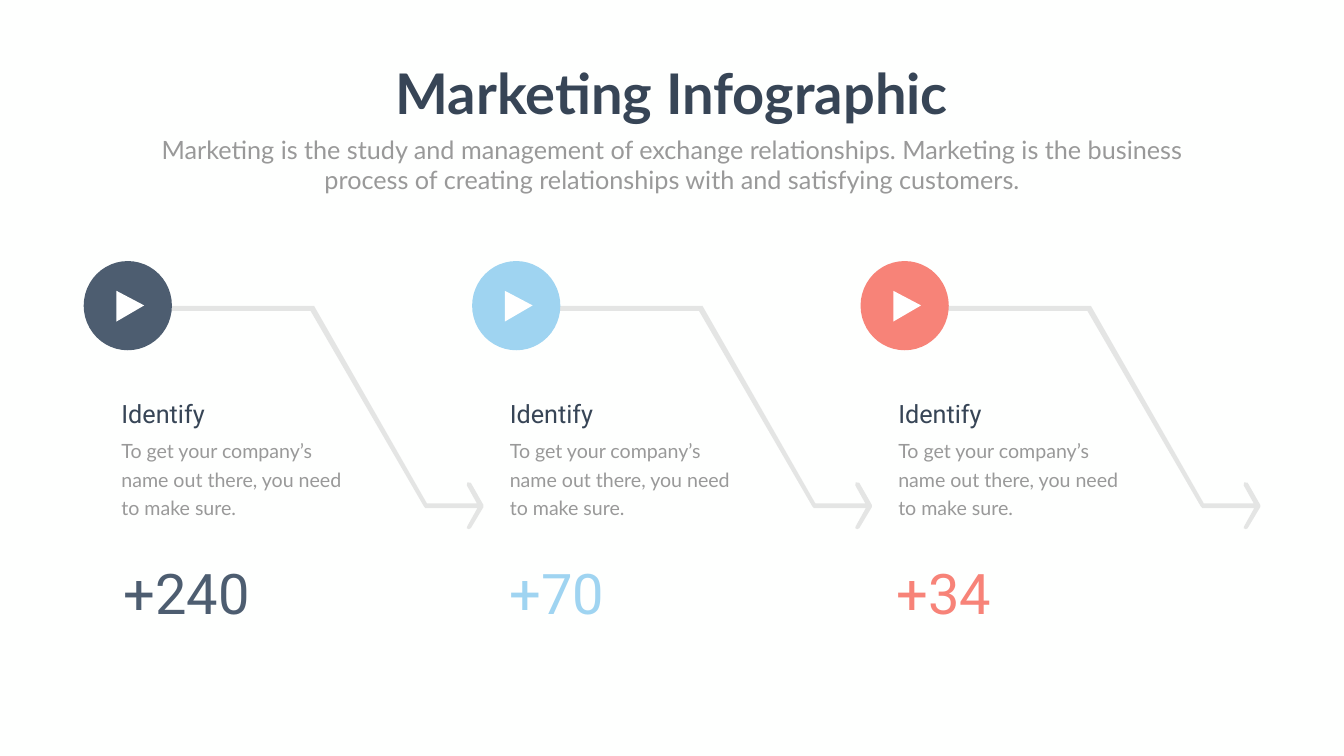
from dataclasses import dataclass

from lxml import etree
from pptx import Presentation
from pptx.dml.color import RGBColor
from pptx.enum.shapes import MSO_SHAPE
from pptx.enum.text import MSO_AUTO_SIZE, PP_ALIGN
from pptx.oxml.ns import qn
from pptx.shapes.autoshape import Shape
from pptx.slide import Slide
from pptx.util import Inches, Pt

OVAL = MSO_SHAPE.OVAL
GROW = MSO_AUTO_SIZE.SHAPE_TO_FIT_TEXT
LEFT = PP_ALIGN.LEFT
CENTER = PP_ALIGN.CENTER

PAPER = RGBColor(0xFE, 0xFF, 0xFE)
WHITE = RGBColor(0xFF, 0xFF, 0xFF)
INK = RGBColor(0x37, 0x45, 0x56)
GRAY = RGBColor(0x99, 0x99, 0x99)
ARROW_GRAY = RGBColor(0x80, 0x80, 0x80)
SLATE = RGBColor(0x4D, 0x5D, 0x70)
SKY = RGBColor(0x9F, 0xD4, 0xF1)
CORAL = RGBColor(0xF7, 0x83, 0x78)

FIRST_LEFT = 1.66
STEP_PITCH = 15.41 / 2
ARROW_OPACITY = 20

ARROW_POINTS = [
    (0.84, 6.07), (4.57, 6.07), (6.81, 9.99), (7.8, 9.99), (7.6, 9.63),
    (7.61, 9.57), (7.68, 9.58), (7.93, 10.02), (7.93, 10.06), (7.68, 10.48),
    (7.64, 10.5), (7.6, 10.48), (7.61, 10.44), (7.81, 10.08), (6.78, 10.08),
    (6.75, 10.05), (4.5, 6.17), (0.93, 6.17),
]
PLAY_POINTS = [(0.65, 5.77), (1.2, 6.06), (0.65, 6.38)]


@dataclass
class Step:
    title: str
    description: str
    number: str
    number_left: float
    color: RGBColor


@dataclass
class TextStyle:
    font: str
    size: int
    color: RGBColor
    bold: bool = False
    align: PP_ALIGN = LEFT
    wrap: bool = True
    line_height: float | None = None


DESCRIPTION = "To get your company’s name out there, you need to make sure."
STEPS = [
    Step("Identify", DESCRIPTION, "+240", 2.35, SLATE),
    Step("Identify", DESCRIPTION, "+70", 10.01, SKY),
    Step("Identify", DESCRIPTION, "+34", 17.68, CORAL),
]

TITLE_STYLE = TextStyle("Lato", 80, INK, bold=True, align=CENTER, wrap=False)
SUBTITLE_STYLE = TextStyle("Lato", 36, GRAY, align=CENTER)
STEP_TITLE_STYLE = TextStyle("Roboto", 36, INK)
DESCRIPTION_STYLE = TextStyle("Lato", 28, GRAY, line_height=40.8)


def paint(shape: Shape, color: RGBColor) -> None:
    shape.shadow.inherit = False
    shape.fill.solid()
    shape.fill.fore_color.rgb = color
    shape.line.fill.background()


def set_opacity(shape: Shape, percent: int) -> None:
    color = shape.fill._xPr.find(qn("a:solidFill"))[0]
    etree.SubElement(color, qn("a:alpha"), val=str(percent * 1000))


def add_outline(
    page: Slide, left: float, points: list[tuple[float, float]], color: RGBColor
) -> Shape:
    corners = [(Inches(left + x), Inches(y)) for x, y in points]
    builder = page.shapes.build_freeform(*corners[0])
    builder.add_line_segments(corners[1:], close=True)
    shape = builder.convert_to_shape()
    paint(shape, color)
    return shape


def add_text(
    page: Slide, text: str, left: float, top: float, width: float, height: float,
    style: TextStyle,
) -> None:
    box = page.shapes.add_textbox(
        Inches(left), Inches(top), Inches(width), Inches(height)
    )
    frame = box.text_frame
    frame.text = text
    frame.word_wrap = style.wrap
    frame.auto_size = GROW
    para = frame.paragraphs[0]
    para.alignment = style.align
    if style.line_height:
        para.line_spacing = Pt(style.line_height)
    span = para.runs[0]
    span.font.name = style.font
    span.font.size = Pt(style.size)
    span.font.bold = style.bold
    span.font.color.rgb = style.color


def add_step(page: Slide, step: Step, left: float) -> None:
    arrow = add_outline(page, left, ARROW_POINTS, ARROW_GRAY)
    set_opacity(arrow, ARROW_OPACITY)
    circle = page.shapes.add_shape(
        OVAL, Inches(left), Inches(5.18), Inches(1.75), Inches(1.77)
    )
    paint(circle, step.color)
    add_outline(page, left, PLAY_POINTS, WHITE)

    text_left = left + 0.65
    add_text(page, step.description, text_left, 8.56, 4.7, 1.77, DESCRIPTION_STYLE)
    add_text(page, step.title, text_left, 7.86, 4.7, 0.71, STEP_TITLE_STYLE)
    number_style = TextStyle("Roboto", 80, step.color)
    add_text(page, step.number, step.number_left, 11.04, 2.91, 1.45, number_style)


def main() -> None:
    deck = Presentation()
    deck.slide_width = Inches(26.66)
    deck.slide_height = Inches(15)
    page = deck.slides.add_slide(deck.slide_layouts[6])
    page.background.fill.solid()
    page.background.fill.fore_color.rgb = PAPER

    for index, step in enumerate(STEPS):
        add_step(page, step, FIRST_LEFT + index * STEP_PITCH)

    add_text(page, "Marketing Infographic", 7.61, 1.12, 11.44, 1.45, TITLE_STYLE)
    add_text(
        page,
        "Marketing is the study and management of exchange relationships. "
        "Marketing is the business process of creating relationships with "
        "and satisfying customers.",
        2.92, 2.61, 20.82, 1.31, SUBTITLE_STYLE,
    )
    deck.save("out.pptx")


if __name__ == "__main__":
    main()
